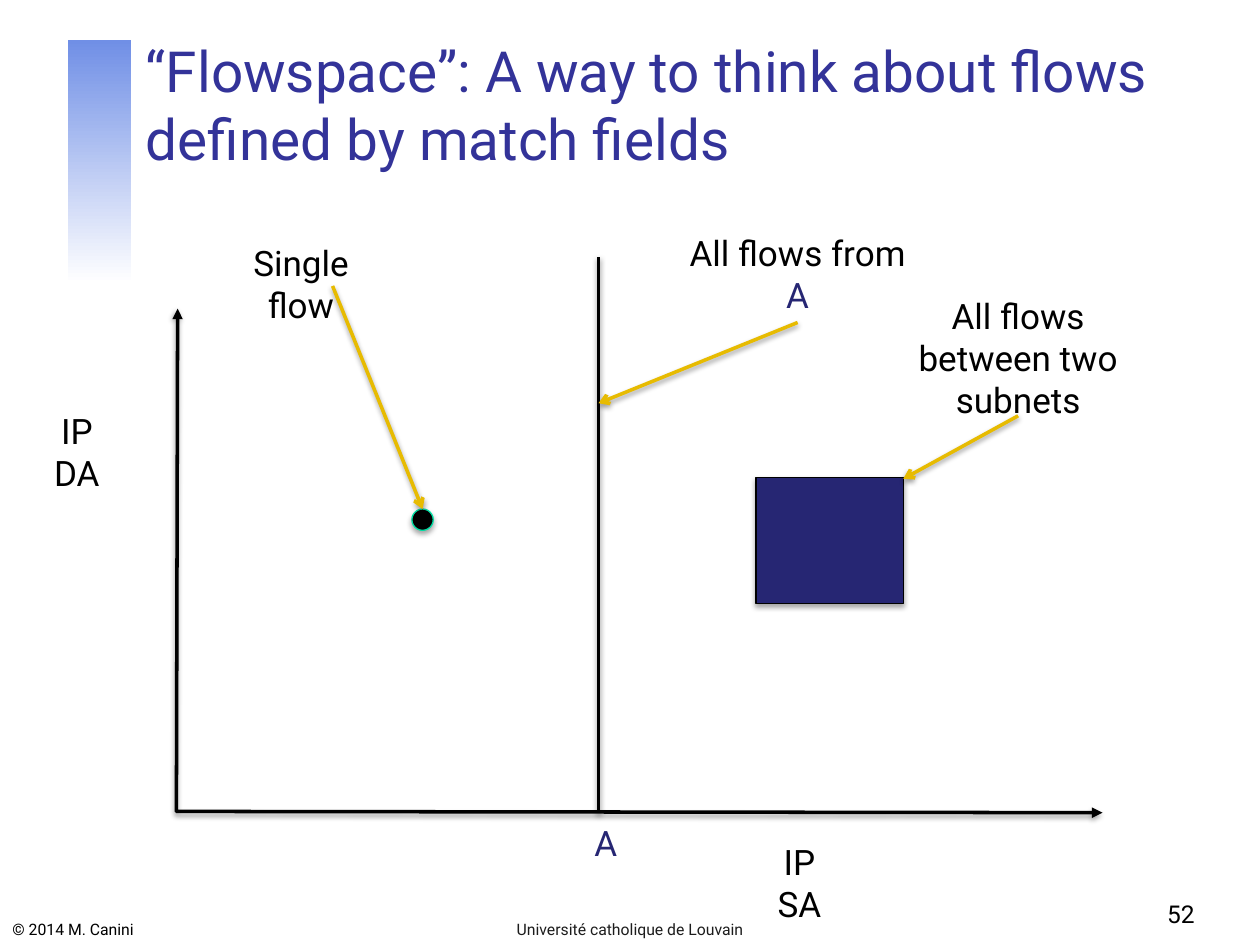
from lxml import etree
from pptx import Presentation
from pptx.dml.color import RGBColor
from pptx.enum.shapes import MSO_CONNECTOR, MSO_SHAPE
from pptx.enum.text import MSO_ANCHOR as ANCHOR, PP_ALIGN as ALIGN
from pptx.oxml.ns import qn
from pptx.util import Pt

BLACK, NAVY, GOLD = "000000", "262673", "E7BB01"
rgb = RGBColor.from_string

deck = Presentation()
deck.slide_width, deck.slide_height = Pt(720), Pt(540)
slide = deck.slides.add_slide(deck.slide_layouts[6])
shapes = slide.shapes


def add_text(text, left, top, width, height, size=20, color=BLACK, align=ALIGN.CENTER,
             anchor=ANCHOR.TOP, wrap=True, margins=(7.2, 7.2), ending="", ending_color=NAVY):
    box = shapes.add_textbox(Pt(left), Pt(top), Pt(width), Pt(height))
    frame = box.text_frame
    frame.word_wrap = wrap
    frame.vertical_anchor = anchor
    frame.margin_left, frame.margin_right = Pt(margins[0]), Pt(margins[1])
    paragraph = frame.paragraphs[0]
    paragraph.alignment = align
    for words, run_color in ((text, color), (ending, ending_color)):
        if words:
            run = paragraph.add_run()
            run.text = words
            run.font.name, run.font.size = "Roboto", Pt(size)
            run.font.color.rgb = rgb(run_color)
    return box


def outline(shape, color, width, head=None, tail=None, alpha=38, distance=1.6):
    """Line, arrowheads and the soft shadow below."""
    shape.line.color.rgb = rgb(color)
    shape.line.width = Pt(width)
    line = shape.line._get_or_add_ln()
    for tag, arrow in (("a:headEnd", head), ("a:tailEnd", tail)):
        if arrow:
            etree.SubElement(line, qn(tag), type=arrow)
    effects = etree.SubElement(shape._element.spPr, qn("a:effectLst"))
    shadow = etree.SubElement(effects, qn("a:outerShdw"), blurRad=str(Pt(3.1)),
                              dist=str(Pt(distance)), dir="5400000", rotWithShape="0")
    tint = etree.SubElement(shadow, qn("a:srgbClr"), val=BLACK)
    etree.SubElement(tint, qn("a:alpha"), val=str(alpha * 1000))


# Fading bar beside the title
bar = shapes.add_shape(MSO_SHAPE.RECTANGLE, Pt(38.9), Pt(23), Pt(36), Pt(139))
bar.shadow.inherit = False
bar.line.fill.background()
bar.fill.gradient()
bar.fill.gradient_angle = 270
for stop, position, color in zip(bar.fill.gradient_stops, (0, 1), ("708FE6", "FFFFFF")):
    stop.position = position
    stop.color.rgb = rgb(color)

# Title
add_text("“Flowspace”: A way to think about flows defined by match fields",
         76.3, 23.8, 613.4, 77.8, size=32.4, color="333399", align=ALIGN.LEFT,
         anchor=ANCHOR.BOTTOM)

# Axes and their labels
pen = shapes.build_freeform(Pt(101.5), Pt(176.4))
pen.add_line_segments([(Pt(100.8), Pt(463.7)), (Pt(630), Pt(464.4))], close=False)
axes = pen.convert_to_shape()
axes.fill.background()
outline(axes, BLACK, 2, head="triangle", tail="triangle")
add_text("IP SA", 437, 476.6, 61.2, 28.8, margins=(3.6, 25.2))
add_text("IP DA", 23.8, 230.4, 61.9, 28.8, margins=(3.6, 25.2))

# Regions of the flowspace: a point, a line and a rectangle
point = shapes.add_shape(MSO_SHAPE.OVAL, Pt(235.4), Pt(290.9), Pt(12.2), Pt(12.2))
subnets = shapes.add_shape(MSO_SHAPE.RECTANGLE, Pt(432), Pt(272.9), Pt(84.2), Pt(72))
for region, fill, edge in ((point, BLACK, "00DFA4"), (subnets, NAVY, BLACK)):
    region.fill.solid()
    region.fill.fore_color.rgb = rgb(fill)
    outline(region, edge, 0.75, alpha=35, distance=1.8)
source_a = shapes.add_connector(MSO_CONNECTOR.STRAIGHT, Pt(342), Pt(146.9), Pt(342), Pt(464.4))
outline(source_a, BLACK, 2)
add_text("A", 332.6, 465.8, 26.6, 31.7, color=NAVY, wrap=False)

# Region labels, each with an arrow from its bottom centre
single_label = add_text("Single flow", 138.2, 134.6, 103.7, 28.8, margins=(3.6, 39.6))
source_label = add_text("All flows from ", 383.8, 128.9, 144, 55.4, ending="A")
subnets_label = add_text("All flows between two subnets", 509.8, 164.9, 144, 72.7)
for label, x, y in ((single_label, 241.5, 290.9), (source_label, 342, 230.4),
                    (subnets_label, 516.2, 273.6)):
    arrow = shapes.add_connector(MSO_CONNECTOR.STRAIGHT, Pt(0), Pt(0), Pt(x), Pt(y))
    arrow.begin_connect(label, 2)
    if label is single_label:
        arrow.end_connect(point, 0)
    outline(arrow, GOLD, 2, tail="arrow")

# Footer
for text, left, top, width, height, size, color, align in (
        ("© 2014 M. Canini", 0, 519.8, 217.4, 20.2, 9, BLACK, ALIGN.LEFT),
        ("Université catholique de Louvain", 246.2, 519.8, 227.5, 20.2, 9, "1C1C1C", ALIGN.CENTER),
        ("52", 540, 498.2, 149.8, 36, 14, BLACK, ALIGN.RIGHT)):
    add_text(text, left, top, width, height, size=size, color=color, align=align,
             anchor=ANCHOR.BOTTOM)

deck.save("out.pptx")
